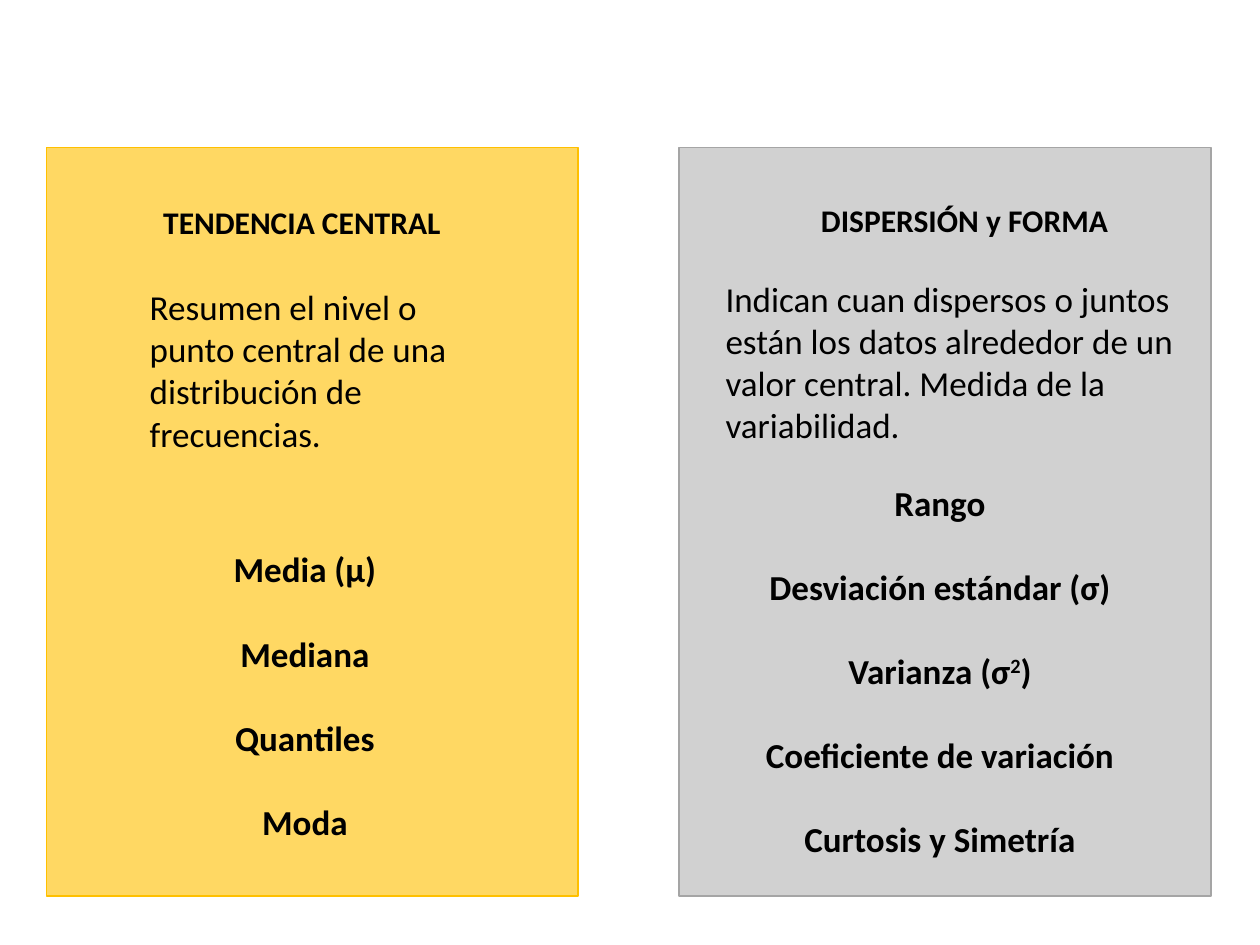
from pptx import Presentation
from pptx.dml.color import RGBColor
from pptx.enum.shapes import MSO_SHAPE as SHAPE
from pptx.enum.text import MSO_AUTO_SIZE as AUTO, PP_ALIGN as ALIGN
from pptx.oxml.ns import qn
from pptx.util import Inches, Pt
from lxml.etree import SubElement


def color(hex_code):
    return RGBColor.from_string(hex_code)


def write(p, text, size=20, bold=False, font="Calibri", fill="000000", baseline=0):
    r = p.add_run()
    r.text = text
    r.font.size = Pt(size)
    r.font.bold = bold
    r.font.name = font
    r.font.color.rgb = color(fill)
    if baseline:
        r._r.get_or_add_rPr().set("baseline", str(baseline * 1000))


class Board:
    """Hold the current slide and the style of its panels and texts."""

    line_width = Pt(1)
    gap = Pt(24)

    def __init__(self, slide):
        self.s = slide

    def panel(self, x, y, w, h, fill, opacity):
        sp = self.s.shapes.add_shape(SHAPE.RECTANGLE, Inches(x), Inches(y), Inches(w), Inches(h))
        sp.shadow.inherit = False
        sp.fill.solid()
        sp.fill.fore_color.rgb = color(fill)
        sp.line.color.rgb = color(fill)
        sp.line.width = self.line_width
        clr = sp._element.spPr.find(qn("a:solidFill")).find(qn("a:srgbClr"))
        SubElement(clr, qn("a:alpha")).set("val", str(opacity * 1000))

    def text(self, x, y, w, h, paragraphs, align=ALIGN.CENTER, **style):
        tf = self.s.shapes.add_textbox(Inches(x), Inches(y), Inches(w), Inches(h)).text_frame
        tf.word_wrap = True
        tf.auto_size = AUTO.SHAPE_TO_FIT_TEXT
        for i, runs in enumerate(paragraphs):
            p = tf.add_paragraph() if i else tf.paragraphs[0]
            p.alignment = align
            if i:
                p.space_before = self.gap
            for text, baseline in runs:
                write(p, text, baseline=baseline, **style)

    def title(self, x, y, text):
        self.text(x, y, 3.13, 0.4, [[(text, 0)]], size=18, bold=True)

    def definition(self, x, y, w, text):
        self.text(x, y, w, 1.45, [[(text, 0)]], align=ALIGN.LEFT)

    def measures(self, x, y, w, h, names):
        items = [[(n, 0)] if isinstance(n, str) else n for n in names]
        self.text(x, y, w, h, items, bold=True)


def main():
    prs = Presentation()
    prs.slide_width, prs.slide_height = Inches(10), Inches(7.5)
    board = Board(prs.slides.add_slide(prs.slide_layouts[6]))

    for x, fill, opacity in ((0.37, "FFC000", 61), (5.39, "A5A5A5", 51)):
        board.panel(x, 1.17, 4.22, 5.94, fill, opacity)

    board.title(0.86, 1.56, "TENDENCIA CENTRAL ")
    board.definition(1.09, 2.22, 2.66,
                     "Resumen el nivel o punto central de una distribución de frecuencias.")
    board.measures(1.09, 4.3, 2.66, 2.46, ["Media (μ)", "Mediana", "Quantiles", "Moda"])

    board.title(6.09, 1.55, "DISPERSIÓN y FORMA")
    board.definition(5.66, 2.15, 3.91,
                     "Indican cuan dispersos o juntos están los datos alrededor de un "
                     "valor central. Medida de la variabilidad.")
    variance = [("Varianza (σ", 0), ("2", 30), (")", 0)]
    board.measures(5.7, 3.77, 3.52, 3.47,
                   ["Rango", "Desviación estándar (σ)", variance,
                    "Coeficiente de variación", "Curtosis y Simetría"])

    prs.save("out.pptx")


if __name__ == "__main__":
    main()
